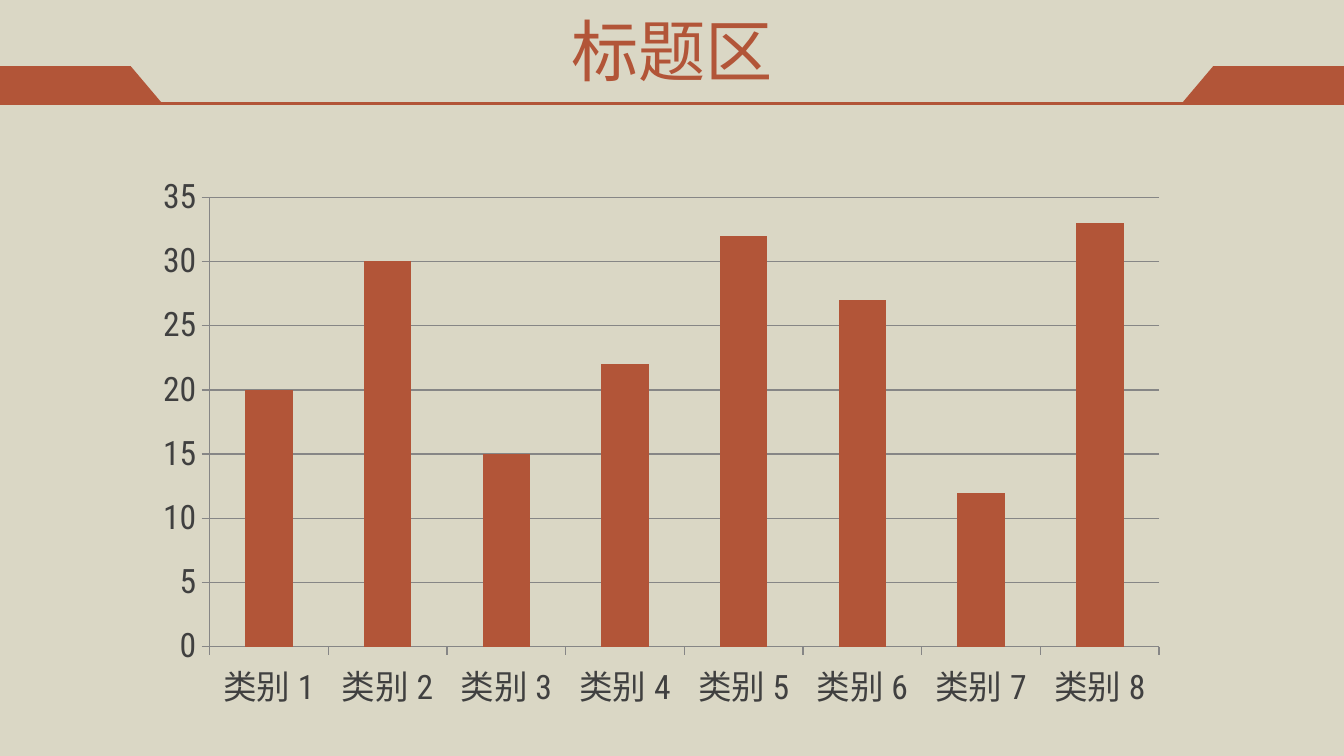
from lxml.etree import SubElement
from pptx import Presentation
from pptx.chart.data import CategoryChartData
from pptx.dml.color import RGBColor
from pptx.enum.chart import XL_CHART_TYPE, XL_TICK_MARK
from pptx.enum.shapes import MSO_CONNECTOR
from pptx.enum.text import MSO_ANCHOR, PP_ALIGN
from pptx.oxml.ns import qn
from pptx.util import Cm, Pt

FONT = "Roboto Condensed"
RUST = "B25538"
SAND = "DAD7C5"
DARK = "404040"
GREY = "868686"


def color(hex_string):
    return RGBColor.from_string(hex_string)


def write(frame, text, size, ink, align):
    para = frame.paragraphs[0]
    para.alignment = align
    span = para.add_run()
    span.text = text
    span.font.name = FONT
    span.font.size = Pt(size)
    span.font.color.rgb = color(ink)


deck = Presentation()
deck.slide_width = Cm(25.4)
deck.slide_height = Cm(14.29)
page = deck.slides.add_slide(deck.slide_layouts[5])
page.background.fill.solid()
page.background.fill.fore_color.rgb = color(SAND)

# Header rule with a mirrored tab at each edge
tab_top, rule_y = Cm(1.25), Cm(1.96)
rule = page.shapes.add_connector(
    MSO_CONNECTOR.STRAIGHT, 0, rule_y, deck.slide_width, rule_y)
rule.line.color.rgb = color(RUST)
rule.line.width = Pt(1.5)
SubElement(rule.line._get_or_add_ln().getparent(), qn("a:effectLst"))

for edge, direction in ((0, 1), (deck.slide_width, -1)):
    outline = page.shapes.build_freeform(edge, tab_top)
    outline.add_line_segments([
        (edge + direction * Cm(2.47), tab_top),
        (edge + direction * Cm(3.07), rule_y),
        (edge, rule_y),
    ])
    tab = outline.convert_to_shape()
    tab.shadow.inherit = False
    tab.fill.solid()
    tab.fill.fore_color.rgb = color(RUST)
    tab.line.fill.background()

# Title
title = page.shapes.title
title.left, title.top = Cm(1.27), Cm(-0.25)
title.width, title.height = Cm(22.86), Cm(2.39)
title.text_frame.vertical_anchor = MSO_ANCHOR.MIDDLE
write(title.text_frame, "标题区", size=36, ink=RUST, align=PP_ALIGN.CENTER)

# Column chart
data = CategoryChartData()
data.categories = [f"类别 {number}" for number in range(1, 9)]
data.add_series("Series 1", (20, 30, 15, 22, 32, 27, 12, 33))
chart = page.shapes.add_chart(
    XL_CHART_TYPE.COLUMN_CLUSTERED,
    Cm(2.69), Cm(3.15), Cm(19.61), Cm(10.46), data).chart
chart.has_title = False
chart.has_legend = False
chart.font.name = FONT
chart.font.size = Pt(18)
chart.font.color.rgb = color(DARK)

plot = chart.plots[0]
plot.gap_width = 150
plot.vary_by_categories = False
columns = plot.series[0]
columns.format.fill.solid()
columns.format.fill.fore_color.rgb = color(RUST)

value_axis = chart.value_axis
value_axis.minimum_scale = 0
value_axis.maximum_scale = 35
value_axis.major_unit = 5
value_axis.has_major_gridlines = True
for axis in (chart.category_axis, value_axis):
    axis.major_tick_mark = XL_TICK_MARK.OUTSIDE
for part in (chart.category_axis, value_axis, value_axis.major_gridlines):
    part.format.line.color.rgb = color(GREY)
    part.format.line.width = Pt(0.75)

deck.save("out.pptx")
